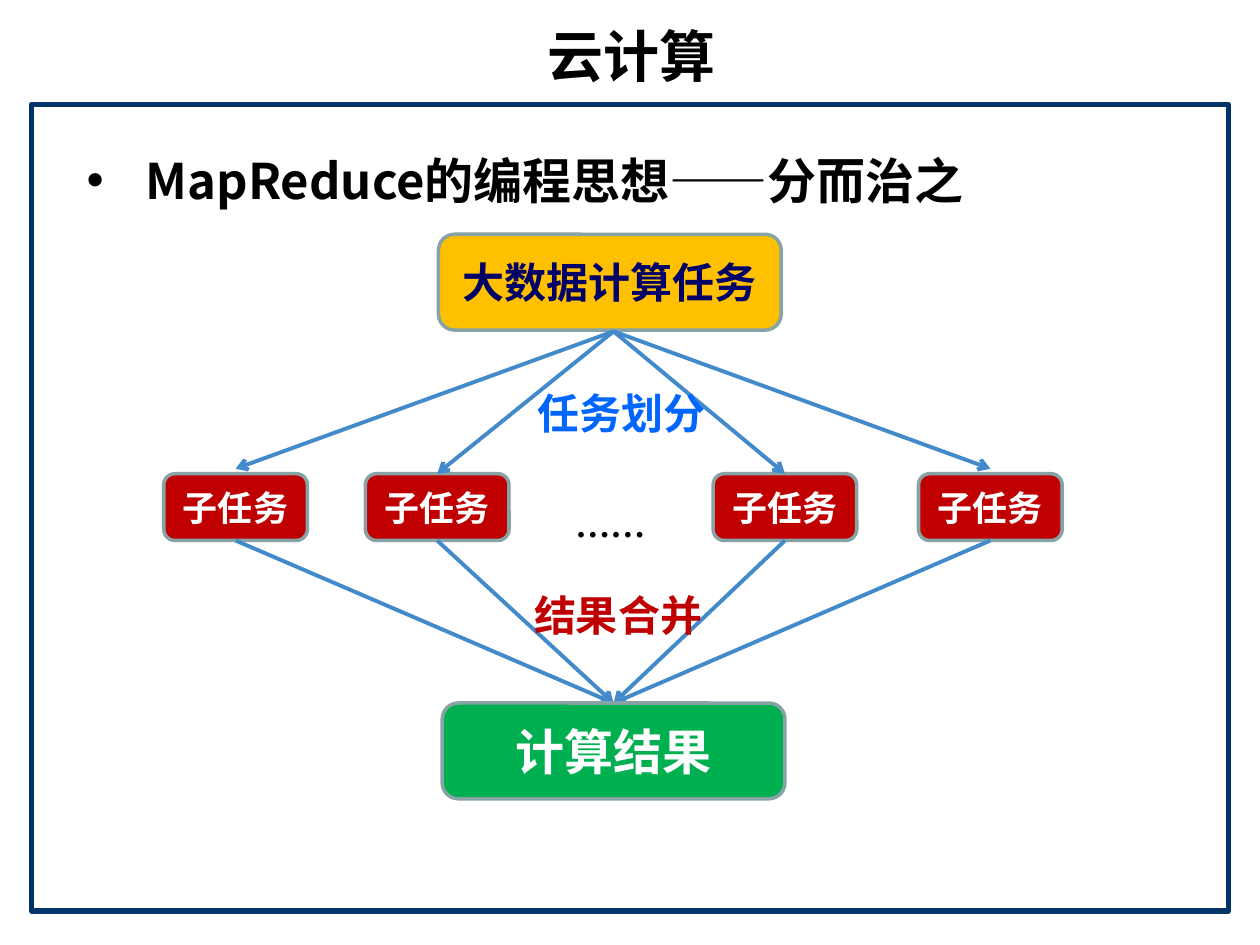
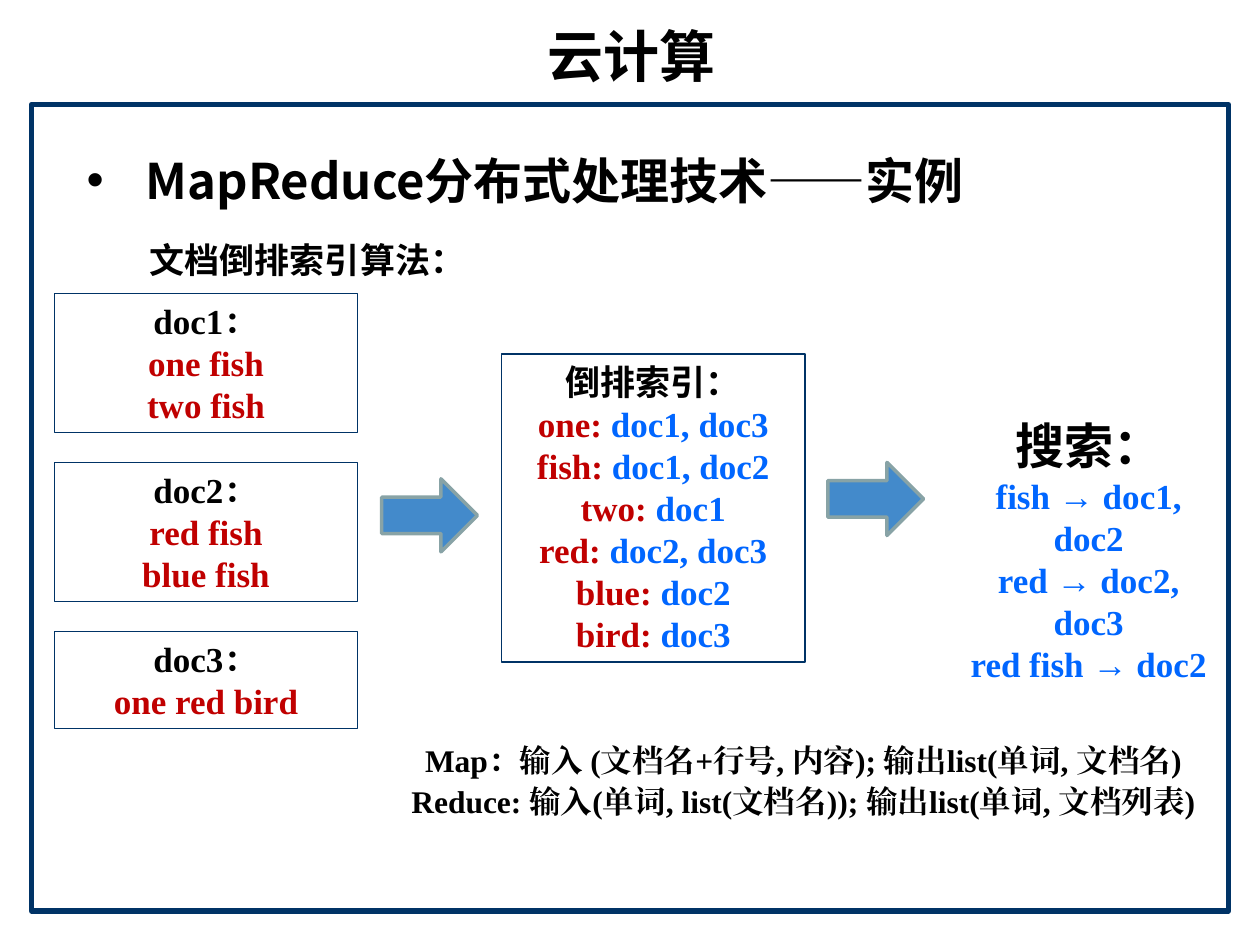
from dataclasses import dataclass

from lxml.etree import SubElement
from pptx import Presentation
from pptx.dml.color import RGBColor
from pptx.enum.shapes import MSO_CONNECTOR, MSO_SHAPE
from pptx.enum.text import MSO_ANCHOR, PP_ALIGN
from pptx.oxml.ns import qn
from pptx.util import Inches, Pt


@dataclass(frozen=True)
class Theme:
    navy: str = "003366"
    ink: str = "000000"
    paper: str = "FFFFFF"
    deep_blue: str = "000066"
    blue: str = "0066FF"
    red: str = "C00000"
    amber: str = "FFC000"
    green: str = "00B050"
    arrow: str = "438ACB"
    edge: str = "88A3A6"
    cjk: str = "Noto Sans CJK SC"
    serif: str = "Times New Roman"
    symbol: str = "Arial"
    heading: str = "DejaVu Sans"
    title: int = 32
    large: int = 28
    medium: int = 24
    normal: int = 20
    small: int = 18


T = Theme()
COLUMNS, ROWS = 100, 75  # grid of equal cells over the slide
CELL = Inches(10) // COLUMNS


def cells(*counts):
    return [round(count * CELL) for count in counts]


# ---- Text ----
def run(text, size=T.normal, color=T.ink, name=T.cjk, bold=True):
    return text, dict(size=Pt(size), name=name, bold=bold), color


def serif(text, color=T.ink, size=T.normal):
    return run(text, size, color, T.serif)


def add_runs(paragraph, runs):
    for text, font_format, color in runs:
        piece = paragraph.add_run()
        piece.text = text
        for key, value in font_format.items():
            setattr(piece.font, key, value)
        piece.font.color.rgb = RGBColor.from_string(color)
        east_asian = SubElement(piece.font._element, qn("a:ea"))
        east_asian.set("typeface", font_format["name"])


def write(frame, lines, anchor=MSO_ANCHOR.TOP, spacing=(), **paragraph_format):
    """Each line is a list of runs; spacing holds the leading of the first lines."""
    frame.word_wrap = True
    frame.vertical_anchor = anchor
    paragraph_format = {"alignment": PP_ALIGN.CENTER, **paragraph_format}
    for index, runs in enumerate(lines):
        paragraph = frame.add_paragraph() if index else frame.paragraphs[0]
        for key, value in paragraph_format.items():
            setattr(paragraph, key, value)
        if index < len(spacing):
            paragraph.line_spacing = spacing[index]
        add_runs(paragraph, runs)


def add_text(slide, box, lines, **options):
    label = slide.shapes.add_textbox(*cells(*box))
    write(label.text_frame, lines, **options)
    return label


def indent(paragraph, margin, hanging=0, bullet=None):
    properties = paragraph._p.get_or_add_pPr()
    properties.set("marL", str(cells(margin)[0]))
    properties.set("indent", str(-cells(hanging)[0]))
    if bullet:
        color = SubElement(properties, qn("a:buClr"))
        SubElement(color, qn("a:srgbClr")).set("val", T.ink)
        SubElement(properties, qn("a:buFont")).set("typeface", T.symbol)
        SubElement(properties, qn("a:buChar")).set("char", bullet)


# ---- Shapes ----
def add_block(slide, kind, box, fill, line, width):
    block = slide.shapes.add_shape(kind, *cells(*box))
    block.shadow.inherit = False
    if fill:
        block.fill.solid()
        block.fill.fore_color.rgb = RGBColor.from_string(fill)
    else:
        block.fill.background()
    block.line.color.rgb = RGBColor.from_string(line)
    block.line.width = Pt(width)
    return block


def add_task(slide, box, fill, label):
    task = add_block(slide, MSO_SHAPE.ROUNDED_RECTANGLE, box, fill, T.edge, 2)
    write(task.text_frame, [[label]], anchor=MSO_ANCHOR.MIDDLE)


def add_listing(slide, left, top, lines):
    """Outlined box as tall as its lines; returns its height."""
    height = 1 + 3.35 * len(lines)
    listing = add_block(slide, MSO_SHAPE.RECTANGLE, (left, top, 24.1, height),
                        None, T.navy, 0.75)
    write(listing.text_frame, lines)
    return height


def add_arrow(slide, start, end):
    arrow = slide.shapes.add_connector(MSO_CONNECTOR.STRAIGHT,
                                       *cells(*start, *end))
    arrow.line.color.rgb = RGBColor.from_string(T.arrow)
    arrow.line.width = Pt(2.25)
    SubElement(arrow.line._get_or_add_ln(), qn("a:tailEnd")).set("type", "arrow")
    SubElement(arrow._element.spPr, qn("a:effectLst"))


# ---- Shared slide parts ----
def add_page(deck, topic, subtopic=None):
    slide = deck.slides.add_slide(deck.slide_layouts[5])
    title = slide.shapes.title
    title.left, title.top, title.width, title.height = cells(2.7, 1.3, 94.8, 6.2)
    write(title.text_frame, [[run("云计算", T.title, name=T.heading)]],
          anchor=MSO_ANCHOR.MIDDLE)
    add_block(slide, MSO_SHAPE.RECTANGLE, (2.5, 8.3, 95, 64), T.paper, T.navy, 3)

    lines = [[run(topic, T.large)]]
    if subtopic:
        lines.append([run(subtopic)])
    body = add_text(slide, (5.9, 9.1, 90, 59.9), lines,
                    spacing=(1.5, 1.5), alignment=PP_ALIGN.LEFT)
    heading, *details = body.text_frame.paragraphs
    indent(heading, 4.7, 4.7, "•")
    for detail in details:
        indent(detail, 5)
        detail.space_before = Pt(5)
    return slide


# ---- Slides ----
def add_divide_and_conquer(deck):
    slide = add_page(deck, "MapReduce的编程思想——分而治之")
    add_task(slide, (34.8, 18.6, 27.2, 7.6), T.amber,
             run("大数据计算任务", T.medium, T.deep_blue))

    # Subtasks, each fed from the whole task and leading to the result
    width, height, top = 11.4, 5.3, 37.6
    split, merge = (48.7, 26.3), (48.7, 55.8)
    centers = (18.7, 34.7, 62.3, 78.6)
    for center in centers:
        add_task(slide, (center - width / 2, top, width, height), T.red,
                 run("子任务", color=T.paper))
        is_outer = center in (centers[0], centers[-1])
        add_arrow(slide, split, (center, top - 0.4 * is_outer))
        add_arrow(slide, (center, top + height), merge)
    add_text(slide, (42, 39.4, 12.9, 4.4), [[serif("……")]])

    # Stage names and result
    add_text(slide, (39.6, 30.3, 19.5, 5), [[run("任务划分", T.medium, T.blue)]])
    add_text(slide, (39.3, 46.3, 19.5, 5), [[run("结果合并", T.medium, T.red)]])
    add_task(slide, (35.1, 55.8, 27.2, 7.6), T.green,
             run("计算结果", T.large, T.paper))


def add_inverted_index(deck):
    slide = add_page(deck, "MapReduce分布式处理技术——实例", "文档倒排索引算法：")

    # Source documents
    documents = {
        "doc1：": ("one fish", "two fish"),
        "doc2：": ("red fish", "blue fish"),
        "doc3：": ("one red bird",),
    }
    top = 23.3
    for name, content in documents.items():
        lines = [[serif(name)]] + [[serif(text, T.red)] for text in content]
        top += add_listing(slide, 4.3, top, lines) + 2.35

    # Index of words
    index = {"one": "doc1, doc3", "fish": "doc1, doc2", "two": "doc1",
             "red": "doc2, doc3", "blue": "doc2", "bird": "doc3"}
    add_listing(slide, 39.8, 28.1, [[run("倒排索引：")]] + [
        [serif(f"{word}: ", T.red), serif(found, T.blue)]
        for word, found in index.items()])

    for left, arrow_top in ((30.3, 38), (65.7, 36.7)):
        add_block(slide, MSO_SHAPE.RIGHT_ARROW, (left, arrow_top, 7.6, 5.8),
                  T.arrow, T.edge, 2)

    # Searches
    searches = {"fish": "doc1, doc2", "red": "doc2, doc3", "red fish": "doc2"}
    add_text(slide, (75.2, 32, 22.4, 22.8), [[run("搜索：", T.large)]] + [
        [serif(f"{query} ", T.blue), run("→", color=T.blue, name=T.symbol),
         serif(f" {found}", T.blue)]
        for query, found in searches.items()], spacing=(1.1,))

    # Inputs and outputs of both functions
    signatures = ("Map：输入 (文档名+行号, 内容); 输出list(单词, 文档名)",
                  "Reduce: 输入(单词, list(文档名)); 输出list(单词, 文档列表)")
    add_text(slide, (30.3, 58, 66.9, 14.2),
             [[serif(text, size=T.small)] for text in signatures],
             spacing=(1.1, 1.1))


def main():
    deck = Presentation()
    deck.slide_width, deck.slide_height = cells(COLUMNS, ROWS)
    add_divide_and_conquer(deck)
    add_inverted_index(deck)
    deck.save("out.pptx")


if __name__ == "__main__":
    main()
